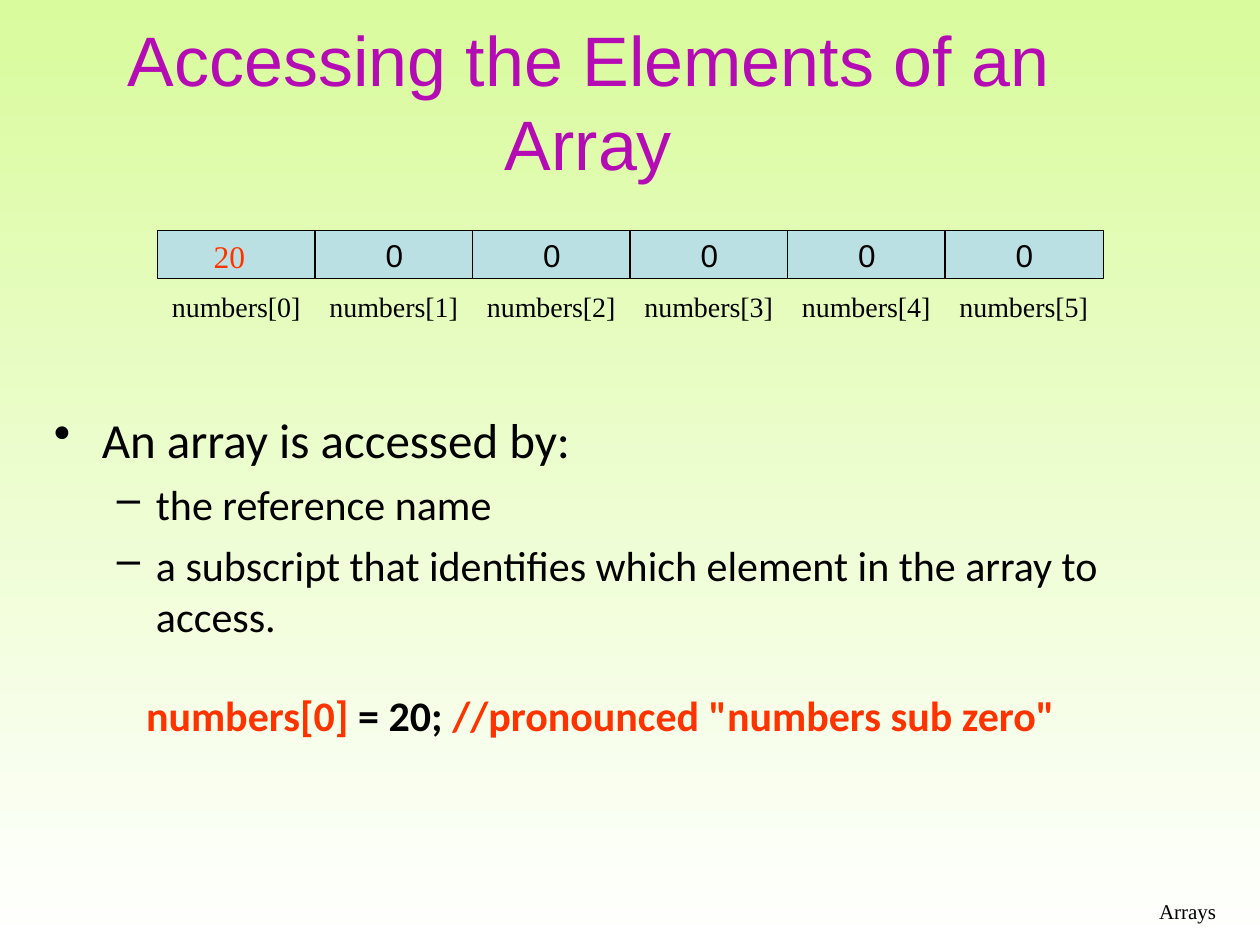
from dataclasses import dataclass

from lxml import etree
from pptx import Presentation
from pptx import util as u
from pptx.dml.color import RGBColor
from pptx.enum import shapes, text
from pptx.oxml import ns

BLACK, ORANGE, PURPLE, CELL_BLUE = "000000", "FF3300", "B50BB5", "BBE0E3"
SERIF = "Times New Roman"
LEFT, CENTER, RIGHT = text.PP_ALIGN.LEFT, text.PP_ALIGN.CENTER, text.PP_ALIGN.RIGHT
MIDDLE = text.MSO_ANCHOR.MIDDLE


@dataclass
class Box:
    left: float
    top: float
    width: float
    height: float


@dataclass
class Style:
    size: float
    font: str
    color: str = BLACK
    align: text.PP_ALIGN = CENTER
    bold: bool = False


@dataclass
class Bullet:
    wording: str
    mark: str
    size: float
    margin: float
    hanging: float
    before: float
    level: int = 0


def rgb(hex_color: str) -> RGBColor:
    return RGBColor.from_string(hex_color)


def style_paragraph(paragraph, style: Style) -> None:
    paragraph.alignment = style.align
    font = paragraph.font
    font.size, font.name, font.bold = u.Pt(style.size), style.font, style.bold
    font.color.rgb = rgb(style.color)


def place(box: Box) -> list:
    return [u.Inches(n) for n in (box.left, box.top, box.width, box.height)]


def add_text(slide, box: Box, wording: str, style: Style, anchor=text.MSO_ANCHOR.TOP):
    frame = slide.shapes.add_textbox(*place(box)).text_frame
    frame.word_wrap = True
    frame.vertical_anchor = anchor
    frame.text = wording
    style_paragraph(frame.paragraphs[0], style)
    return frame


def add_cell(slide, box: Box, wording: str) -> None:
    cell = slide.shapes.add_shape(shapes.MSO_SHAPE.RECTANGLE, *place(box))
    cell.shadow.inherit = False
    cell.fill.solid()
    cell.fill.fore_color.rgb = rgb(CELL_BLUE)
    cell.line.color.rgb = rgb(BLACK)
    cell.line.width = u.Pt(0.75)
    if wording:
        frame = cell.text_frame
        frame.word_wrap = False
        frame.vertical_anchor = MIDDLE
        frame.text = wording
        style_paragraph(frame.paragraphs[0], Style(18, "Arial"))


def add_bullet(paragraph, bullet: Bullet) -> None:
    paragraph.text = bullet.wording
    paragraph.level = bullet.level
    paragraph.space_before = u.Pt(bullet.before)
    style_paragraph(paragraph, Style(bullet.size, "Calibri", align=LEFT))
    properties = paragraph._p.get_or_add_pPr()
    properties.set("marL", str(u.Inches(bullet.margin)))
    properties.set("indent", str(-u.Inches(bullet.hanging)))
    mark = etree.Element(ns.qn("a:buChar"), char=bullet.mark)
    properties.find(ns.qn("a:defRPr")).addprevious(mark)


def add_background(slide) -> None:
    fill = slide.background.fill
    fill.gradient()
    fill.gradient_angle = 270
    for stop, position, color in zip(fill.gradient_stops, (0, 1), ("D9FB9D", "FFFFFF")):
        stop.position = position
        stop.color.rgb = rgb(color)


def main() -> None:
    deck = Presentation()
    deck.slide_width, deck.slide_height = u.Inches(10), u.Inches(7.5)
    slide = deck.slides.add_slide(deck.slide_layouts[6])
    add_background(slide)

    # Title
    add_text(slide, Box(0.42, 0.17, 8.5, 1.25), "Accessing the Elements of an Array",
             Style(40, "Arial", PURPLE), MIDDLE)

    # Explanation
    bullets = [
        Bullet("An array is accessed by:", "•", 28, 0.38, 0.38, 7),
        Bullet("the reference name", "–", 24, 0.81, 0.31, 6, 1),
        Bullet("a subscript that identifies which element in the array to access.",
               "–", 24, 0.81, 0.31, 6, 1),
    ]
    explanation = slide.shapes.add_textbox(*place(Box(0.33, 3.2, 9.07, 3.55))).text_frame
    explanation.word_wrap = True
    for index, bullet in enumerate(bullets):
        add_bullet(explanation.add_paragraph() if index else explanation.paragraphs[0], bullet)

    # Assignment statement
    statement = add_text(slide, Box(1.05, 5.42, 7.43, 0.5), "",
                         Style(24, "Calibri", ORANGE, bold=True))
    statement.word_wrap = False
    for wording, color in (("numbers[0]", ORANGE), (" = 20; ", BLACK),
                           ('//pronounced "numbers sub zero"', ORANGE)):
        run = statement.paragraphs[0].add_run()
        run.text = wording
        run.font.color.rgb = rgb(color)

    # Array cells with their subscripts
    pitch = 1.25
    for index, value in enumerate(["", "0", "0", "0", "0", "0"]):
        left = 1.25 + index * pitch
        add_cell(slide, Box(left, 1.83, 1.26, 0.38), value)
        add_text(slide, Box(left, 2.25, pitch, 0.37), f"numbers[{index}]", Style(16, SERIF))

    # Newly assigned value
    add_text(slide, Box(1.58, 1.83, 0.48, 0.4), "20", Style(18, SERIF, ORANGE))

    # Footer
    add_text(slide, Box(3.67, 7.08, 6.08, 0.34), "Arrays", Style(12, SERIF, align=RIGHT))

    deck.save("out.pptx")


if __name__ == "__main__":
    main()
